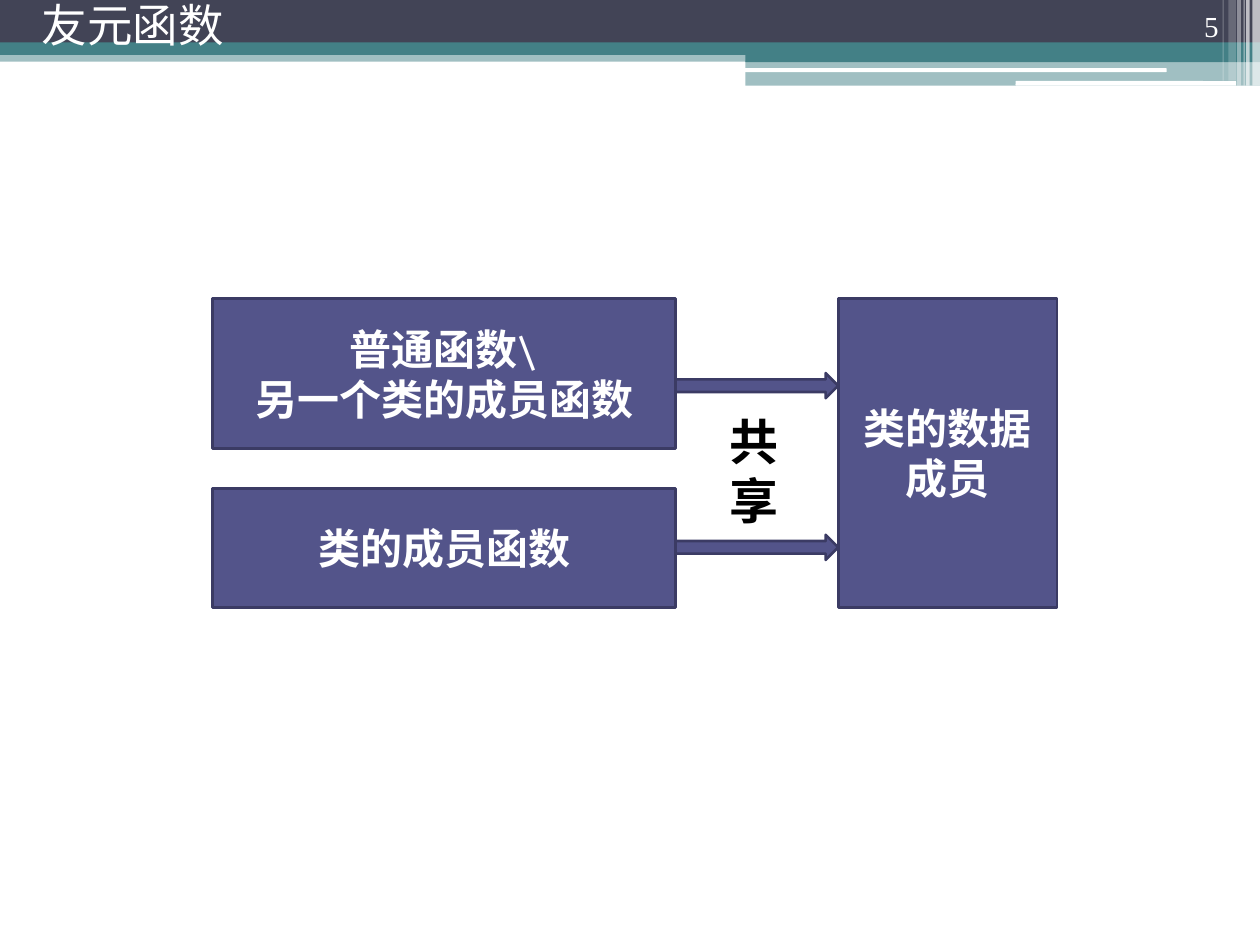
from dataclasses import dataclass
from typing import Any, Optional

from lxml.etree import SubElement
from pptx import Presentation
from pptx.dml.color import RGBColor
from pptx.enum.shapes import MSO_SHAPE
from pptx.enum.text import MSO_ANCHOR, MSO_AUTO_SIZE, PP_ALIGN
from pptx.oxml.ns import qn
from pptx.util import Pt

WHITE = RGBColor(0xFF, 0xFF, 0xFF)
BLACK = RGBColor(0x00, 0x00, 0x00)
SLATE = RGBColor(0x42, 0x44, 0x56)
TEAL = RGBColor(0x43, 0x80, 0x86)
INDIGO = RGBColor(0x53, 0x54, 0x8A)
INDIGO_DARK = RGBColor(0x3B, 0x3B, 0x64)


@dataclass
class Frame:
    left: float
    top: float
    width: float
    height: float

    def lengths(self) -> tuple:
        return Pt(self.left), Pt(self.top), Pt(self.width), Pt(self.height)


@dataclass
class Band:
    frame: Frame
    color: RGBColor
    opacity: int = 100
    kind: MSO_SHAPE = MSO_SHAPE.RECTANGLE


@dataclass
class Box:
    frame: Frame
    lines: tuple


BANDS = (
    Band(Frame(0, 28.8, 720, 6.5), TEAL, 50),
    Band(Frame(0, 0, 720, 24.5), SLATE),
    Band(Frame(0, 24.2, 720, 7.2), TEAL),
    Band(Frame(426, 28.3, 294, 7.2), TEAL),
    Band(Frame(426, 34.7, 294, 14.2), TEAL, 50),
    Band(Frame(425.5, 39, 241.2, 2.2), WHITE, kind=MSO_SHAPE.ROUNDED_RECTANGLE),
    Band(Frame(580.3, 46.3, 126, 2.7), WHITE, kind=MSO_SHAPE.ROUNDED_RECTANGLE),
)

STRIPES = (
    (715.7, 4.3, 49, 65),
    (712.1, 2.1, 49, 65),
    (710.6, 0.7, 49, 60),
    (707, 2.1, 49, 40),
    (702, 4.3, 46.1, 20),
    (698.6, 0.7, 46.1, 30),
)

SOURCE_LEFT, SOURCE_WIDTH = 121.5, 264.5
SOURCE_RIGHT = SOURCE_LEFT + SOURCE_WIDTH
TARGET_LEFT = 479
DIAGRAM_TOP, DIAGRAM_BOTTOM = 170.5, 347
MEMBER_TOP = 279

BOXES = (
    Box(Frame(SOURCE_LEFT, DIAGRAM_TOP, SOURCE_WIDTH, 86), ("普通函数\\", "另一个类的成员函数")),
    Box(Frame(SOURCE_LEFT, MEMBER_TOP, SOURCE_WIDTH, DIAGRAM_BOTTOM - MEMBER_TOP), ("类的成员函数",)),
    Box(Frame(TARGET_LEFT, DIAGRAM_TOP, 125, DIAGRAM_BOTTOM - DIAGRAM_TOP), ("类的数据成员",)),
)
ARROW_TOPS = (213.2, 305.6)
ARROW_HEIGHT = 14.4


def set_attributes(target: Any, values: dict) -> None:
    for name, value in values.items():
        setattr(target, name, value)


def write_text(shape: Any, lines: tuple, font: dict, color: RGBColor,
               anchor: MSO_ANCHOR, paragraph_format: dict) -> None:
    text_frame = shape.text_frame
    set_attributes(text_frame, {
        "text": "\n".join(lines),
        "word_wrap": True,
        "auto_size": MSO_AUTO_SIZE.NONE,
        "vertical_anchor": anchor,
        "margin_left": Pt(7.2),
        "margin_right": Pt(7.2),
        "margin_top": Pt(3.6),
        "margin_bottom": Pt(3.6),
    })
    for paragraph in text_frame.paragraphs:
        set_attributes(paragraph, paragraph_format)
        set_attributes(paragraph.font, font)
        paragraph.font.color.rgb = color


def draw_shape(slide: Any, kind: MSO_SHAPE, frame: Frame, fill: RGBColor,
               outline: Optional[RGBColor] = None, opacity: int = 100) -> Any:
    shape = slide.shapes.add_shape(kind, *frame.lengths())
    shape.shadow.inherit = False
    shape.fill.solid()
    shape.fill.fore_color.rgb = fill
    if opacity < 100:
        color_element = shape.element.spPr.find(f"{qn('a:solidFill')}/{qn('a:srgbClr')}")
        SubElement(color_element, qn("a:alpha")).set("val", str(opacity * 1000))
    if outline is None:
        shape.line.fill.background()
    else:
        shape.line.color.rgb = outline
        shape.line.width = Pt(1.5)
    return shape


def draw_header(slide: Any) -> None:
    stripes = [Band(Frame(left, 0, width, height), WHITE, opacity)
               for left, width, height, opacity in STRIPES]
    for band in (*BANDS, *stripes):
        draw_shape(slide, band.kind, band.frame, band.color, opacity=band.opacity)

    page_number = slide.shapes.add_textbox(*Frame(643.7, 0, 59.8, 28.8).lengths())
    write_text(page_number, ("5",), {"name": "Times New Roman", "size": Pt(16.6)}, WHITE,
               MSO_ANCHOR.BOTTOM, {"alignment": PP_ALIGN.RIGHT, "line_spacing": 0.9})

    title = slide.shapes.title
    left, top, width, height = Frame(16.6, 0, 568, 33.8).lengths()
    set_attributes(title, {"left": left, "top": top, "width": width, "height": height})
    write_text(title, ("友元函数",), {"name": "Roboto", "size": Pt(26)}, WHITE,
               MSO_ANCHOR.MIDDLE,
               {"alignment": PP_ALIGN.LEFT, "line_spacing": 0.8, "space_before": Pt(0)})
    title.element.getparent().append(title.element)


def draw_diagram(slide: Any) -> None:
    for box in BOXES:
        shape = draw_shape(slide, MSO_SHAPE.RECTANGLE, box.frame, INDIGO, INDIGO_DARK)
        write_text(shape, box.lines, {"name": "Cambria", "size": Pt(24), "bold": True},
                   WHITE, MSO_ANCHOR.MIDDLE, {"alignment": PP_ALIGN.CENTER})
    for top in ARROW_TOPS:
        frame = Frame(SOURCE_RIGHT, top, TARGET_LEFT - SOURCE_RIGHT, ARROW_HEIGHT)
        draw_shape(slide, MSO_SHAPE.RIGHT_ARROW, frame, INDIGO, INDIGO_DARK)
    label = slide.shapes.add_textbox(*Frame(409.7, 231.8, 45.4, 74.9).lengths())
    write_text(label, ("共享",), {"name": "Times New Roman", "size": Pt(28), "bold": True},
               BLACK, MSO_ANCHOR.TOP, {"alignment": PP_ALIGN.LEFT})


def main() -> None:
    presentation = Presentation()
    set_attributes(presentation, {"slide_width": Pt(720), "slide_height": Pt(540)})
    slide = presentation.slides.add_slide(presentation.slide_layouts[5])
    draw_header(slide)
    draw_diagram(slide)
    presentation.save("out.pptx")


if __name__ == "__main__":
    main()
